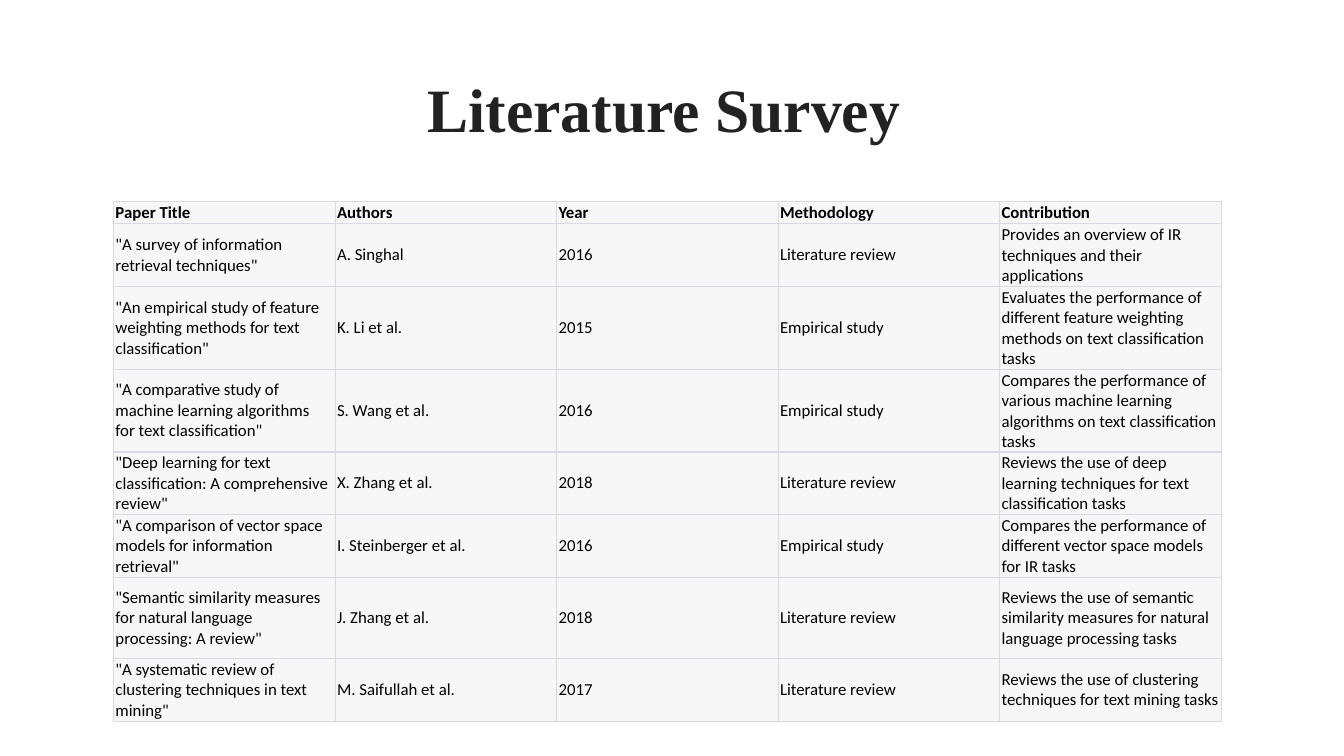
from lxml.etree import SubElement
from pptx import Presentation
from pptx.dml.color import RGBColor
from pptx.enum.text import MSO_ANCHOR as Anchor, PP_ALIGN as Align
from pptx.oxml.ns import qn
from pptx.util import Pt

PX = 9525  # EMU per px, 96 px to the inch
COLORS = {"title": "222222", "text": "000000", "cell": "F7F7F8", "border": "D9D9E3"}
THIN, THICK = Pt(0.6), Pt(1)
ROW_HEIGHTS = [12, 50, 71, 71, 55, 60, 77, 60]
SURVEY = [
    ("Paper Title", "Authors", "Year", "Methodology", "Contribution"),
    ('"A survey of information retrieval techniques"', "A. Singhal", "2016",
     "Literature review", "Provides an overview of IR techniques and their applications"),
    ('"An empirical study of feature weighting methods for text classification"',
     "K. Li et al.", "2015", "Empirical study",
     "Evaluates the performance of different feature weighting methods on text classification tasks"),
    ('"A comparative study of machine learning algorithms for text classification"',
     "S. Wang et al.", "2016", "Empirical study",
     "Compares the performance of various machine learning algorithms on text classification tasks"),
    ('"Deep learning for text classification: A comprehensive review"',
     "X. Zhang et al.", "2018", "Literature review",
     "Reviews the use of deep learning techniques for text classification tasks"),
    ('"A comparison of vector space models for information retrieval"',
     "I. Steinberger et al.", "2016", "Empirical study",
     "Compares the performance of different vector space models for IR tasks"),
    ('"Semantic similarity measures for natural language processing: A review"',
     "J. Zhang et al.", "2018", "Literature review",
     "Reviews the use of semantic similarity measures for natural language processing tasks"),
    ('"A systematic review of clustering techniques in text mining"',
     "M. Saifullah et al.", "2017", "Literature review",
     "Reviews the use of clustering techniques for text mining tasks"),
]


def add_span(para, text, font, size, color, bold):
    span = para.add_run()
    span.text = text
    span.font.name, span.font.size, span.font.bold = font, Pt(size), bold
    span.font.color.rgb = RGBColor.from_string(COLORS[color])


def add_title(page, left, top, width, height):
    box = page.shapes.add_textbox(left * PX, top * PX, width * PX, height * PX)
    frame = box.text_frame
    frame.word_wrap = True
    frame.vertical_anchor = Anchor.MIDDLE
    para = frame.paragraphs[0]
    para.alignment = Align.CENTER
    para.line_spacing = 0.9
    add_span(para, "Literature Survey ", "Times New Roman", 44, "title", True)


def set_borders(cell, top, bottom):
    """Draw the four cell edges; the sides are always thin."""
    properties = cell._tc.get_or_add_tcPr()
    edges = [("a:lnL", THIN), ("a:lnR", THIN), ("a:lnT", top), ("a:lnB", bottom)]
    for position, (tag, width) in enumerate(edges):
        line = SubElement(properties, qn(tag), w=str(int(width)))
        fill = SubElement(line, qn("a:solidFill"))
        SubElement(fill, qn("a:srgbClr"), val=COLORS["border"])
        properties.insert(position, line)


def fill_cell(cell, text, is_header, is_last):
    cell.fill.solid()
    cell.fill.fore_color.rgb = RGBColor.from_string(COLORS["cell"])
    cell.margin_left = cell.margin_right = 2 * PX
    cell.margin_top = cell.margin_bottom = PX
    cell.vertical_anchor = Anchor.BOTTOM if is_header else Anchor.MIDDLE
    add_span(cell.text_frame.paragraphs[0], text, "Calibri", 12, "text", is_header)
    set_borders(cell, THIN if is_header else THICK, THIN if is_last else THICK)


def add_survey_table(page, left, top, width):
    row_count, column_count = len(SURVEY), len(SURVEY[0])
    table = page.shapes.add_table(row_count, column_count, left * PX, top * PX,
                                  width * PX, sum(ROW_HEIGHTS) * PX).table
    table.horz_banding = False
    for row, height in zip(table.rows, ROW_HEIGHTS):
        row.height = height * PX
    for r, texts in enumerate(SURVEY):
        for c, text in enumerate(texts):
            fill_cell(table.cell(r, c), text, r == 0, r == row_count - 1)


def main():
    deck = Presentation()
    deck.slide_width, deck.slide_height = 1280 * PX, 720 * PX
    page = deck.slides.add_slide(deck.slide_layouts[6])
    add_title(page, 88, 38, 1104, 139)
    add_survey_table(page, 108, 192, 1055)
    deck.save("out.pptx")


if __name__ == "__main__":
    main()
